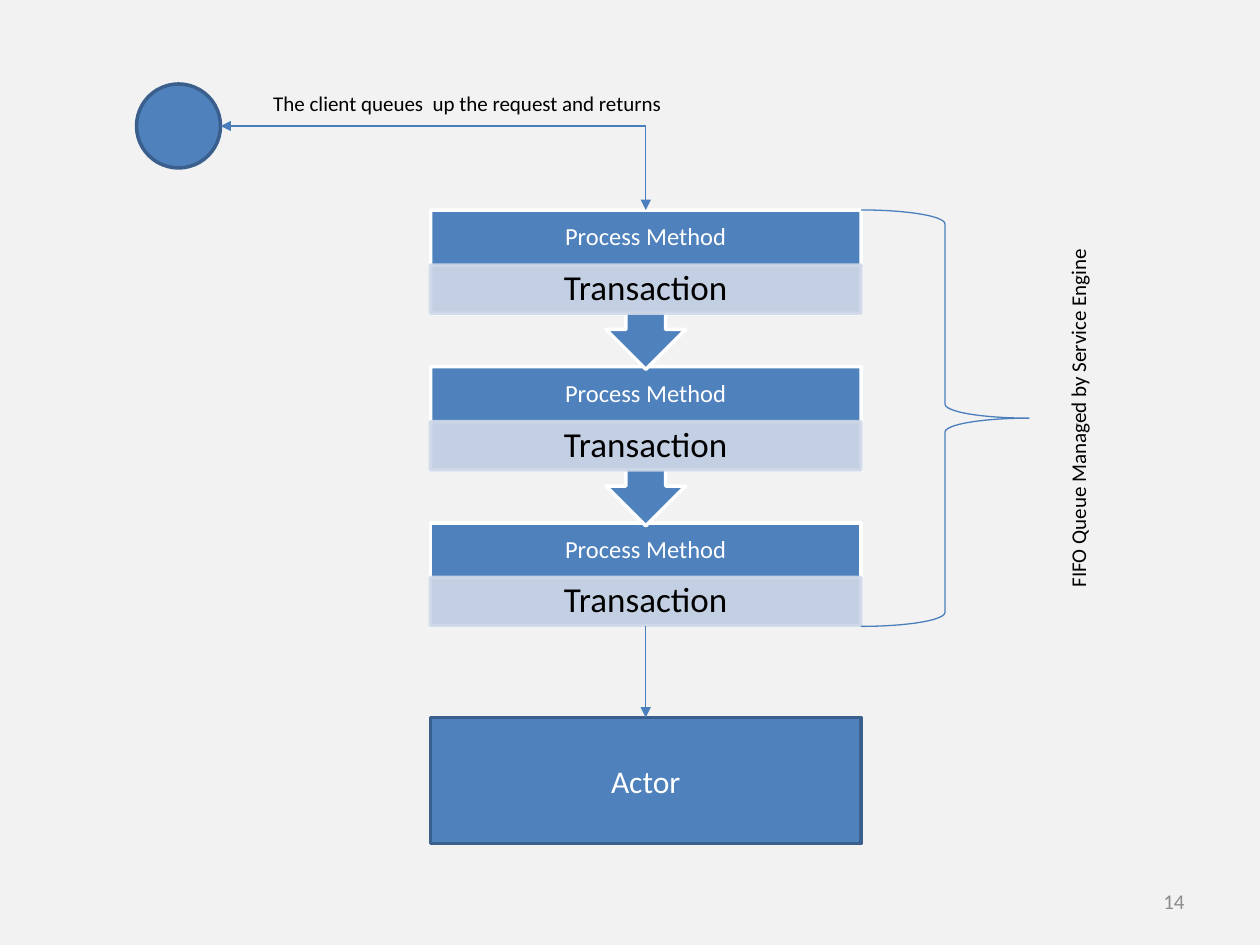
from lxml import etree
from pptx import Presentation
from pptx.dml.color import RGBColor
from pptx.enum import shapes, text
from pptx.oxml import ns
from pptx.util import Pt

BACKGROUND = RGBColor(0xF2, 0xF2, 0xF2)
BLUE = RGBColor(0x4F, 0x81, 0xBD)
DARK_BLUE = RGBColor(0x3A, 0x5F, 0x8C)
LINE_BLUE = RGBColor(0x4B, 0x7E, 0xBC)
PALE_BLUE = RGBColor(0xD0, 0xD8, 0xE8)
GREY = RGBColor(0x8C, 0x8C, 0x8C)
WHITE = RGBColor(0xFF, 0xFF, 0xFF)
BLACK = RGBColor(0, 0, 0)

MSO, ALIGN = shapes.MSO_SHAPE, text.PP_ALIGN
LEFT, WIDTH = 246, 246
CENTRE = LEFT + WIDTH / 2
QUEUE_TOP, STEP, HEADER = 120, 89.5, 31.5


def write(sp, words, size=12, color=BLACK, align=ALIGN.CENTER,
          anchor=text.MSO_ANCHOR.MIDDLE, spacing=None, inset=(7.2, 3.6)):
    """Put one formatted paragraph into a shape."""
    tf = sp.text_frame
    tf.word_wrap = True
    tf.vertical_anchor = anchor
    tf.margin_left = tf.margin_right = Pt(inset[0])
    tf.margin_top = tf.margin_bottom = Pt(inset[1])
    p = tf.paragraphs[0]
    p.alignment, p.line_spacing = align, spacing
    r = p.add_run()
    r.text = words
    r.font.name, r.font.size = "Calibri", Pt(size)
    r.font.color.rgb = color


def add_label(s, box, words, rotation=0, **fmt):
    """Add a text box."""
    sp = s.shapes.add_textbox(*map(Pt, box))
    sp.rotation = rotation
    write(sp, words, **fmt)


def add_block(s, kind, box, line, fill=BLUE, weight=2, rotation=0):
    """Add a preset shape with its fill and outline."""
    sp = s.shapes.add_shape(kind, *map(Pt, box))
    sp.shadow.inherit = False
    sp.rotation = rotation
    if fill is None:
        sp.fill.background()
    else:
        sp.fill.solid()
        sp.fill.fore_color.rgb = fill
    sp.line.color.rgb, sp.line.width = line, Pt(weight)
    return sp


def make_translucent(sp, percent):
    """Set the opacity of a shape's fill and outline."""
    for clr in sp._element.spPr.iter(ns.qn("a:srgbClr")):
        etree.SubElement(clr, ns.qn("a:alpha"), val=str(percent * 1000))


def add_arrow(s, start, end, ends=("tailEnd",), bent=False):
    """Add a straight or right-angled connector with arrowheads."""
    kind = shapes.MSO_CONNECTOR.ELBOW if bent else shapes.MSO_CONNECTOR.STRAIGHT
    sp = s.shapes.add_connector(kind, *map(Pt, start + end))
    sp.line.color.rgb, sp.line.width = LINE_BLUE, Pt(0.75)
    pr = sp._element.spPr
    if bent:
        pr.find(ns.qn("a:prstGeom")).set("prst", "bentConnector2")
    for name in ends:
        etree.SubElement(sp.line._get_or_add_ln(), ns.qn("a:" + name), type="triangle")
    etree.SubElement(pr, ns.qn("a:effectLst"))


def add_stage(s, top, last):
    """Add one queued call, with an arrow below unless it is the last."""
    if last:
        add_block(s, MSO.RECTANGLE, (LEFT, top, WIDTH, 59), WHITE)
    else:
        add_block(s, MSO.UP_ARROW_CALLOUT, (LEFT, top, WIDTH, 91), WHITE, rotation=180)
    add_label(s, (LEFT, top, WIDTH, HEADER), "Process Method", size=14,
              color=WHITE, spacing=0.9, inset=(8, 8))
    header = HEADER - 0.5 if last else HEADER
    sp = add_block(s, MSO.RECTANGLE, (LEFT, top + header, WIDTH, 27.5), PALE_BLUE, PALE_BLUE)
    make_translucent(sp, 90)
    write(sp, "Transaction", size=20, spacing=0.9, inset=(11.5, 2))


def main():
    """Build the actor queue slide."""
    prs = Presentation()
    prs.slide_width, prs.slide_height = Pt(720), Pt(540)
    s = prs.slides.add_slide(prs.slide_layouts[6])
    s.background.fill.solid()
    s.background.fill.fore_color.rgb = BACKGROUND

    add_label(s, (516, 500.5, 168, 28.8), "14", color=GREY, align=ALIGN.RIGHT)
    actor = add_block(s, MSO.RECTANGLE, (LEFT, 410, WIDTH, 72), DARK_BLUE)
    write(actor, "Actor", size=18, color=WHITE)
    for i in (2, 1, 0):
        add_stage(s, QUEUE_TOP + i * STEP, last=i == 2)

    add_block(s, MSO.RIGHT_BRACE, (LEFT + WIDTH, QUEUE_TOP, 96, 238), LINE_BLUE,
              fill=None, weight=0.75)
    add_label(s, (497, 228.2, 238, 21.6), "FIFO Queue Managed by Service Engine",
              rotation=270, anchor=text.MSO_ANCHOR.TOP)
    add_block(s, MSO.OVAL, (78, 48, 48, 48), DARK_BLUE)
    add_arrow(s, (126, 72), (CENTRE, QUEUE_TOP), ("headEnd", "tailEnd"), bent=True)
    add_label(s, (144, 48, 249, 21.6), "The client queues  up the request and returns ",
              anchor=text.MSO_ANCHOR.TOP)
    add_arrow(s, (CENTRE, 358), (CENTRE, 410))
    prs.save("out.pptx")


if __name__ == "__main__":
    main()
